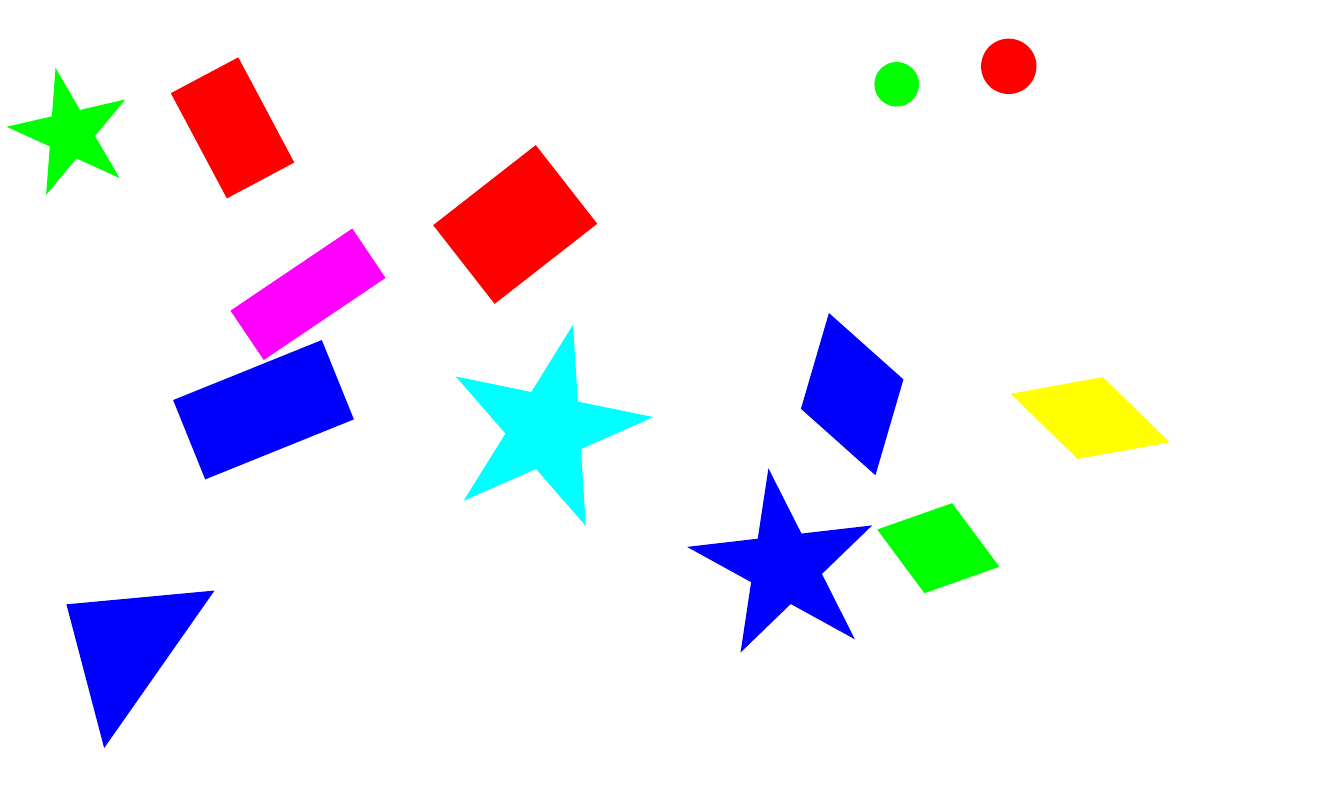
from dataclasses import dataclass

from pptx import Presentation
from pptx.dml.color import RGBColor
from pptx.enum.shapes import MSO_SHAPE
from pptx.util import Cm


@dataclass(frozen=True)
class Theme:
    paper: str = "FFFFFF"
    red: str = "FF0000"
    green: str = "00FF00"
    blue: str = "0000FF"
    cyan: str = "00FFFF"
    magenta: str = "FF00FF"
    yellow: str = "FFFF00"


THEME = Theme()
SLIDE_WIDTH, SLIDE_HEIGHT = 16, 9.6

# Each figure: left, top, width, height in cm, rotation in degrees, colour
FIGURES = {
    MSO_SHAPE.RECTANGLE: [
        (2.79, 3.15, 1.75, 0.71, 146, THEME.magenta),
        (2.06, 1.07, 1.42, 0.91, 62, THEME.red),
        (2.18, 4.37, 1.91, 1.02, 158, THEME.blue),
        (5.36, 2.08, 1.55, 1.19, 322, THEME.red),
    ],
    MSO_SHAPE.DIAMOND: [
        (9.14, 4.06, 2.01, 1.27, 74, THEME.blue),
        (10.41, 5.97, 1.52, 1.12, 17, THEME.green),
        (11.99, 4.47, 1.98, 1.02, 17, THEME.yellow),
    ],
    MSO_SHAPE.OVAL: [
        (10.41, 0.74, 0.53, 0.53, 18, THEME.green),
        (11.68, 0.46, 0.66, 0.66, 294, THEME.red),
    ],
    MSO_SHAPE.STAR_5_POINT: [
        (5.23, 4.01, 2.36, 2.36, 229, THEME.cyan),
        (8.33, 5.74, 2.18, 2.18, 136, THEME.blue),
        (0.1, 0.79, 1.45, 1.45, 347, THEME.green),
    ],
    MSO_SHAPE.ISOSCELES_TRIANGLE: [
        (0.2, 6.91, 2.29, 1.35, 305, THEME.blue),
    ],
}


def apply_format(target, values):
    for name, value in values.items():
        setattr(target, name, value)


def paint(fill, colour):
    fill.solid()
    fill.fore_color.rgb = RGBColor.from_string(colour)


def draw_figures(slide, box, outline, figures):
    """Scatter the figures of one outline inside the box (left, top in cm)."""
    box_left, box_top = box
    for left, top, width, height, rotation, colour in figures:
        figure = slide.shapes.add_shape(
            outline, Cm(box_left + left), Cm(box_top + top), Cm(width), Cm(height)
        )
        apply_format(figure, {"rotation": rotation})
        apply_format(figure.shadow, {"inherit": False})
        paint(figure.fill, colour)
        figure.line.fill.background()


def main():
    deck = Presentation()
    apply_format(
        deck, {"slide_width": Cm(SLIDE_WIDTH), "slide_height": Cm(SLIDE_HEIGHT)}
    )

    # Blank canvas
    canvas = deck.slides.add_slide(deck.slide_layouts[6])
    paint(canvas.background.fill, THEME.paper)

    # Scattered figures, one family at a time
    for outline, figures in FIGURES.items():
        draw_figures(canvas, (0, 0), outline, figures)

    deck.save("out.pptx")


if __name__ == "__main__":
    main()
